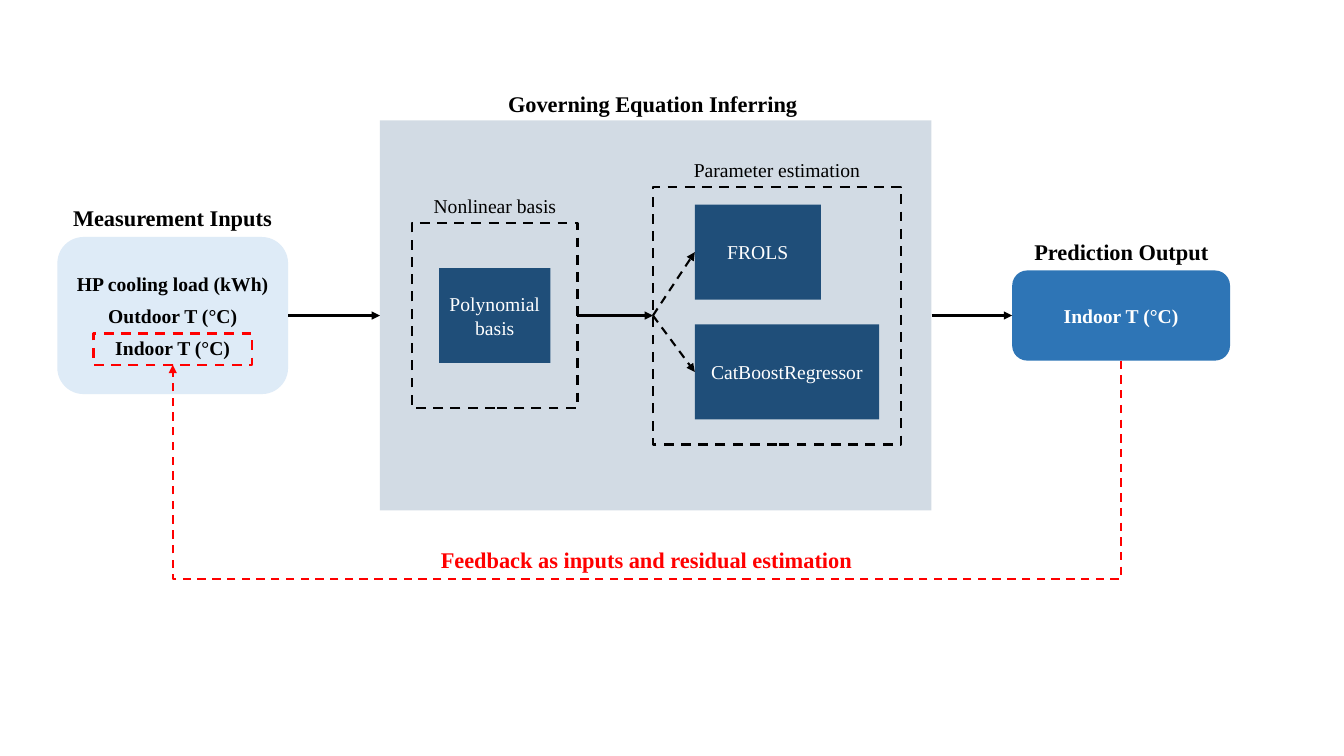
from dataclasses import dataclass

from lxml.etree import SubElement
from pptx import Presentation
from pptx.dml.color import RGBColor
from pptx.enum.dml import MSO_LINE
from pptx.enum.shapes import MSO_CONNECTOR, MSO_SHAPE
from pptx.enum.text import MSO_ANCHOR, MSO_AUTO_SIZE, PP_ALIGN
from pptx.oxml.ns import qn
from pptx.util import Pt


@dataclass(frozen=True)
class Theme:
    font: str = "Times New Roman"
    heading: float = 16
    label: float = 14
    black: str = "000000"
    white: str = "FFFFFF"
    red: str = "FF0000"
    navy: str = "1F4E79"
    blue: str = "2E75B6"
    pale: str = "DEEBF7"
    arrow: float = 1.5
    frame: float = 1.75


LEFT, RIGHT = 1, 3  # connection sites of a box
AXIS = 225.4        # centre line of the flow


class Diagram:
    def __init__(self, slide, theme):
        self.s, self.t = slide, theme

    def put_text(self, tf, lines, size, color, bold=False, after=0):
        tf.word_wrap = True
        font = {"name": self.t.font, "size": Pt(size), "bold": bold}
        layout = {"alignment": PP_ALIGN.CENTER, "space_before": Pt(0),
                  "space_after": Pt(after), "line_spacing": 1.0}
        for i, line in enumerate(lines):
            p = tf.add_paragraph() if i else tf.paragraphs[0]
            r = p.add_run()
            r.text = line
            for target, formats in ((p, layout), (r.font, font)):
                for key, value in formats.items():
                    setattr(target, key, value)
            r.font.color.rgb = RGBColor.from_string(color)

    def label(self, x, y, w, text, size, color=None, bold=False, title=False):
        h = size * 1.2 + 7.4
        if title:
            sp = self.s.shapes.title
            for key, value in zip(("left", "top", "width", "height"), (x, y, w, h)):
                setattr(sp, key, Pt(value))
        else:
            sp = self.s.shapes.add_textbox(Pt(x), Pt(y), Pt(w), Pt(h))
        tf = sp.text_frame
        self.put_text(tf, [text], size, color or self.t.black, bold)
        tf.auto_size = MSO_AUTO_SIZE.SHAPE_TO_FIT_TEXT
        tf.vertical_anchor = MSO_ANCHOR.TOP

    def heading(self, x, y, w, text, color=None, title=False):
        self.label(x, y, w, text, self.t.heading, color, True, title)

    def box(self, x, w, h, fill=None, y=None, frame=None, rounded=False, alpha=None):
        """Box centred on the flow axis unless a top edge is given."""
        kind = MSO_SHAPE.ROUNDED_RECTANGLE if rounded else MSO_SHAPE.RECTANGLE
        top = AXIS - h / 2 if y is None else y
        sp = self.s.shapes.add_shape(kind, Pt(x), Pt(top), Pt(w), Pt(h))
        sp.shadow.inherit = False
        if fill:
            sp.fill.solid()
            sp.fill.fore_color.rgb = RGBColor.from_string(fill)
        else:
            sp.fill.background()
        if alpha:
            color = sp._element.spPr.find(qn("a:solidFill"))[0]
            SubElement(color, qn("a:alpha"), val=str(alpha * 1000))
        if frame:
            self.stroke(sp.line, frame, self.t.frame, True)
        else:
            sp.line.fill.background()
        return sp

    def block(self, x, w, h, fill, lines, color=None, bold=False, y=None):
        """Filled box with text; the bold ones have round corners."""
        sp = self.box(x, w, h, fill, y, rounded=bold)
        sp.text_frame.vertical_anchor = MSO_ANCHOR.MIDDLE
        self.put_text(sp.text_frame, lines, self.t.label, color or self.t.white,
                      bold, 6 if bold else 0)
        return sp

    def stroke(self, line, color, width, dashed):
        line.color.rgb = RGBColor.from_string(color)
        line.width = Pt(width)
        if dashed:
            line.dash_style = MSO_LINE.DASH

    def finish(self, cx, color, dashed):
        self.stroke(cx.line, color, self.t.arrow, dashed)
        spPr = cx._element.spPr
        SubElement(spPr.find(qn("a:ln")), qn("a:tailEnd"), type="triangle")
        SubElement(spPr, qn("a:effectLst"))

    def arrow(self, start, end, site=RIGHT, dashed=False):
        cx = self.s.shapes.add_connector(MSO_CONNECTOR.STRAIGHT, 0, 0, 0, 0)
        cx.begin_connect(start, site)
        cx.end_connect(end, LEFT)
        self.finish(cx, self.t.black, dashed)

    def feedback(self, start, end, floor):
        """Elbow from the bottom of start, along floor, up to the bottom of end."""
        x1, x2 = (sp.left + sp.width // 2 for sp in (start, end))
        y1, y2 = (sp.top + sp.height for sp in (start, end))
        span, rise = x1 - x2, y2 - y1
        cx = self.s.shapes.add_connector(MSO_CONNECTOR.ELBOW, 0, 0, rise, span)
        cx.left, cx.top = (x1 + x2 - rise) // 2, (y1 + y2 - span) // 2
        spPr = cx._element.spPr
        spPr.find(qn("a:xfrm")).set("rot", str(90 * 60000))
        guides = spPr.find(qn("a:prstGeom")).find(qn("a:avLst"))
        bend = round((Pt(floor) - y1) / rise * 100000)
        SubElement(guides, qn("a:gd"), name="adj1", fmla=f"val {bend}")
        self.finish(cx, self.t.red, True)


def main():
    prs = Presentation()
    prs.slide_width, prs.slide_height = Pt(960), Pt(540)
    t = Theme()
    d = Diagram(prs.slides.add_slide(prs.slide_layouts[5]), t)

    # Governing equation panel
    panel = d.box(271.4, 394, 278.6, t.navy, alpha=20)
    d.heading(302.4, 60.5, 327.6, "Governing Equation Inferring", title=True)

    # Measurement inputs
    inputs = d.block(41, 164.8, 112.2, t.pale,
                     ["HP cooling load (kWh)", "Outdoor T (°C)", "Indoor T (°C)"],
                     t.black, True)
    d.heading(26, 142.6, 194.4, "Measurement Inputs")

    # Nonlinear basis
    d.block(313.7, 79.4, 67.8, t.navy, ["Polynomial basis"])
    basis = d.box(294.4, 118, 132.4, frame=t.black)
    d.label(275.8, 135.3, 155.5, "Nonlinear basis", t.label)

    # Parameter estimation
    methods = [d.block(496.3, w, 67.8, t.navy, [name], y=146.2 + i * 85.6)
               for i, (name, w) in enumerate([("FROLS", 90), ("CatBoostRegressor", 131.6)])]
    estimation = d.box(466.4, 177.2, 184, frame=t.black)
    d.label(477.3, 109.5, 155.5, "Parameter estimation", t.label)

    # Prediction output
    output = d.block(723, 155.6, 64.4, t.blue, ["Indoor T (°C)"], bold=True)
    d.heading(719.3, 166.8, 163.4, "Prediction Output")

    # Flow arrows
    for start, end in ((inputs, panel), (basis, estimation), (panel, output)):
        d.arrow(start, end)
    for method in methods:
        d.arrow(estimation, method, LEFT, dashed=True)

    # Feedback loop
    indoor = d.box(66.9, 113, 22.4, y=238.2, frame=t.red)
    d.feedback(output, indoor, 413.4)
    d.heading(261.2, 386.7, 401, "Feedback as inputs and residual estimation", t.red)

    prs.save("out.pptx")


if __name__ == "__main__":
    main()
